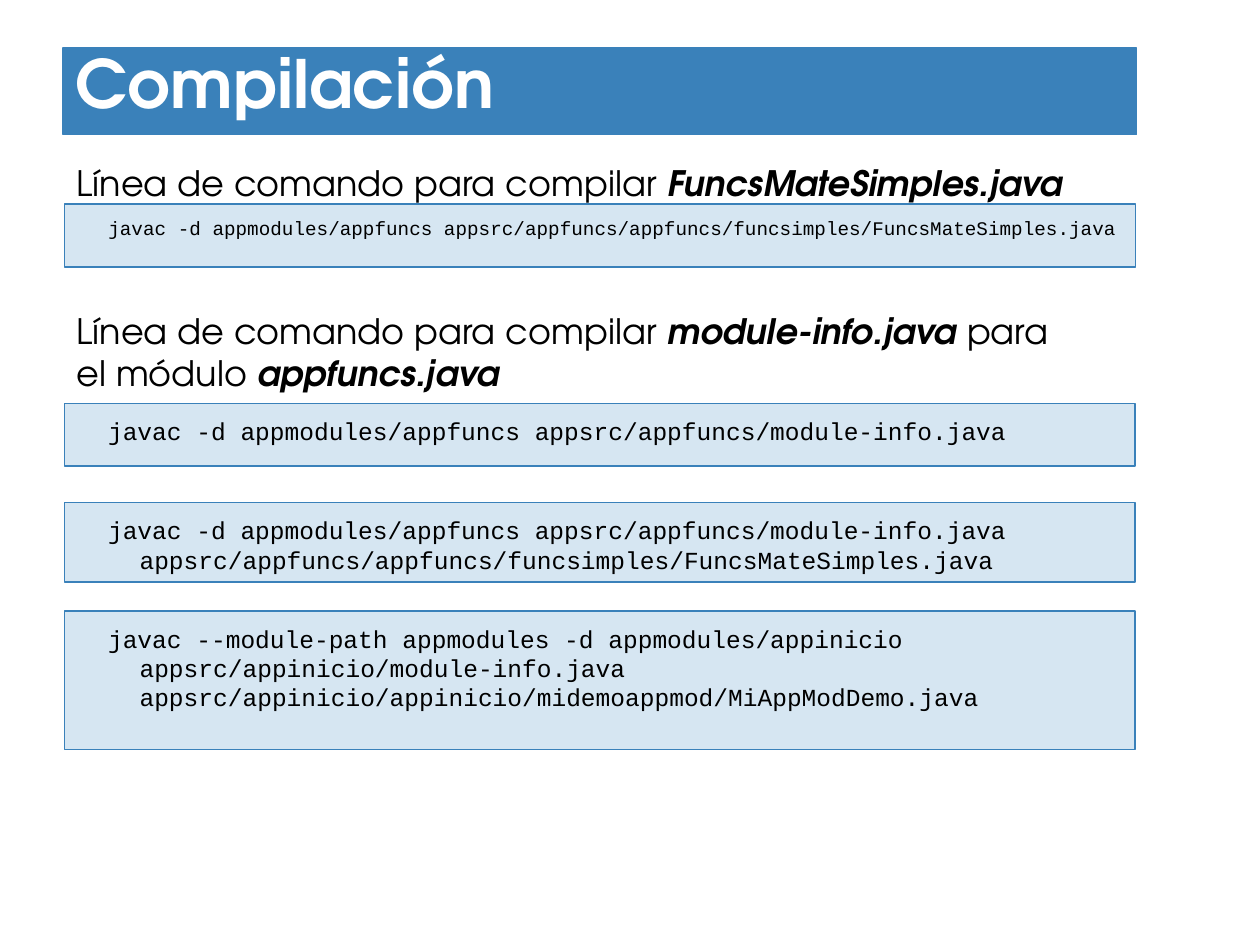
import pptx
import pptx.dml.color
import pptx.enum.shapes
import pptx.enum.text
import pptx.oxml.ns
import pptx.util
from pptx.util import Inches

BLUE = pptx.dml.color.RGBColor(0x3A, 0x81, 0xBA)
PALE_BLUE = pptx.dml.color.RGBColor(0xD6, 0xE6, 0xF2)
WHITE = pptx.dml.color.RGBColor(0xFF, 0xFF, 0xFF)
BLACK = pptx.dml.color.RGBColor(0x00, 0x00, 0x00)
HEADING_FONT = "TeX Gyre Adventor"
CODE_FONT = "Courier New"
LEFT = 0.51
CODE_WIDTH = 8.5
CAPTION_WIDTH = 8.11


def place(shape, box):
    shape.left, shape.top, shape.width, shape.height = map(Inches, box)


def style_span(span, font, size, color, bold=False, italic=False):
    span.font.name = font
    span.font.size = pptx.util.Pt(size)
    span.font.color.rgb = color
    span.font.bold = bold
    span.font.italic = italic


def style_panel(shape, fill, anchor):
    shape.fill.solid()
    shape.fill.fore_color.rgb = fill
    shape.line.color.rgb = BLUE
    shape.line.width = pptx.util.Pt(0.75)
    frame = shape.text_frame
    frame.word_wrap = True
    frame.auto_size = pptx.enum.text.MSO_AUTO_SIZE.NONE
    frame.vertical_anchor = anchor
    frame.margin_left = frame.margin_right = Inches(0.1)
    frame.margin_top = frame.margin_bottom = Inches(0.1)


def fill_title(title, box, text):
    place(title, box)
    style_panel(title, BLUE, pptx.enum.text.MSO_ANCHOR.BOTTOM)
    title.text_frame.text = text
    para = title.text_frame.paragraphs[0]
    para.alignment = pptx.enum.text.PP_ALIGN.JUSTIFY
    style_span(para.runs[0], HEADING_FONT, 38, WHITE, bold=True)


def fill_code(shape, box, command, size):
    place(shape, box)
    style_panel(shape, PALE_BLUE, pptx.enum.text.MSO_ANCHOR.TOP)
    shape.text_frame.text = command
    para = shape.text_frame.paragraphs[0]
    para.alignment = pptx.enum.text.PP_ALIGN.LEFT
    para.space_before = pptx.util.Pt(0)
    properties = para._p.get_or_add_pPr()
    properties.set("marL", str(Inches(0.5)))
    properties.set("indent", str(Inches(-0.25)))
    properties.append(pptx.oxml.parse_xml(
        "<a:buNone %s/>" % pptx.oxml.ns.nsdecls("a")))
    style_span(para.runs[0], CODE_FONT, size, BLACK)


def add_code(page, box, command, size):
    shape = page.shapes.add_shape(
        pptx.enum.shapes.MSO_SHAPE.RECTANGLE, *map(Inches, box))
    shape.shadow.inherit = False
    fill_code(shape, box, command, size)


def add_caption(page, box, parts):
    caption = page.shapes.add_textbox(*map(Inches, box))
    caption.text_frame.word_wrap = True
    para = caption.text_frame.paragraphs[0]
    for text, is_name in parts:
        span = para.add_run()
        span.text = text
        style_span(span, HEADING_FONT, 20, BLACK, bold=is_name, italic=is_name)


def build_page(deck):
    page = deck.slides.add_slide(deck.slide_layouts[1])
    fill_title(page.shapes.title, (0.5, 0.38, 8.52, 0.69), "Compilación")
    fill_code(
        page.placeholders[1], (LEFT, 1.62, CODE_WIDTH, 0.5),
        "javac -d appmodules/appfuncs "
        "appsrc/appfuncs/appfuncs/funcsimples/FuncsMateSimples.java", 11)
    add_caption(page, (LEFT, 1.23, CAPTION_WIDTH, 0.44), [
        ("Línea de comando para compilar ", False),
        ("FuncsMateSimples.java", True),
    ])
    add_caption(page, (LEFT, 2.41, CAPTION_WIDTH, 0.77), [
        ("Línea de comando para compilar ", False),
        ("module-info.java", True),
        (" para el módulo ", False),
        ("appfuncs.java", True),
    ])
    module_command = "javac -d appmodules/appfuncs appsrc/appfuncs/module-info.java"
    commands = [
        (3.2, 0.5, module_command),
        (3.99, 0.63, module_command
         + " appsrc/appfuncs/appfuncs/funcsimples/FuncsMateSimples.java"),
        (4.85, 1.1, "javac --module-path appmodules -d appmodules/appinicio "
         "appsrc/appinicio/module-info.java "
         "appsrc/appinicio/appinicio/midemoappmod/MiAppModDemo.java"),
    ]
    for top, height, command in commands:
        add_code(page, (LEFT, top, CODE_WIDTH, height), command, 14)


def main():
    deck = pptx.Presentation()
    deck.slide_width = Inches(10)
    deck.slide_height = Inches(7.5)
    build_page(deck)
    deck.save("out.pptx")


if __name__ == "__main__":
    main()
